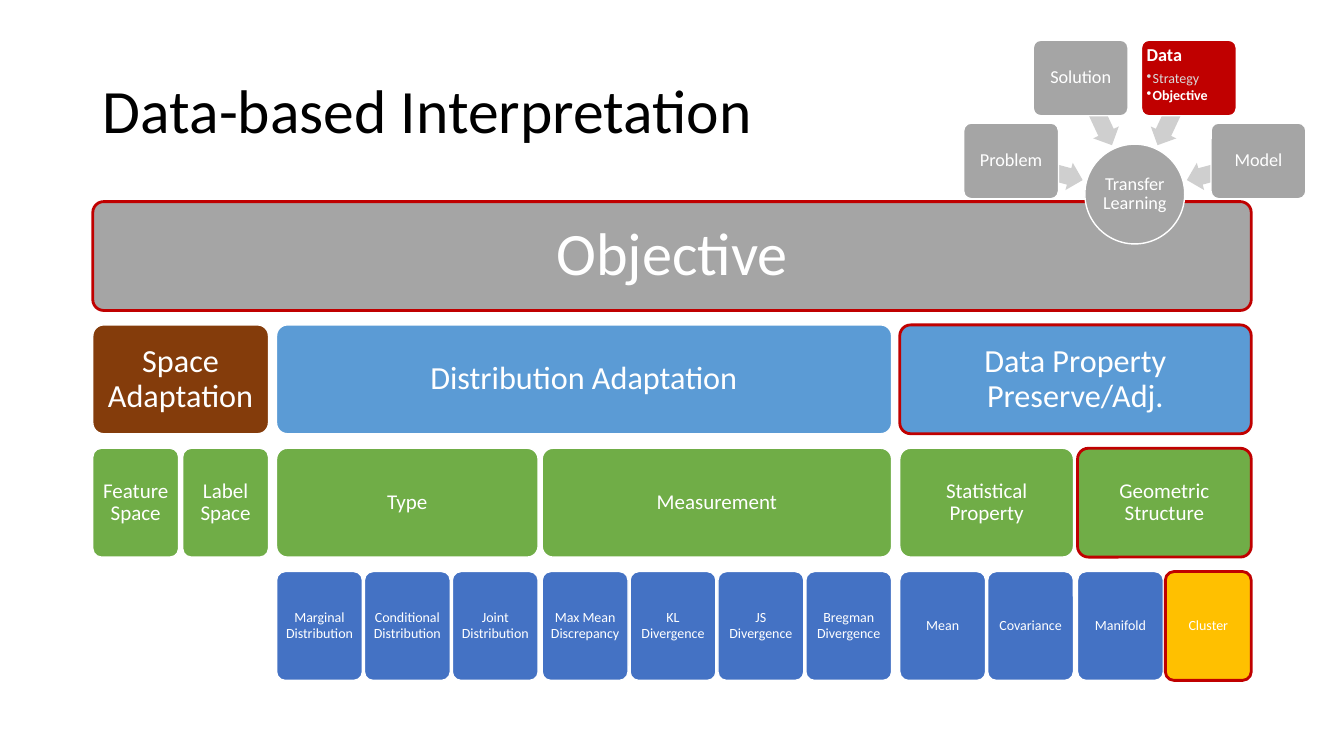
import dataclasses
import math

import lxml.etree
import pptx
import pptx.dml.color
import pptx.enum.shapes
import pptx.enum.text
import pptx.oxml.ns
import pptx.util

Inches, Pt = pptx.util.Inches, pptx.util.Pt
SHAPE = pptx.enum.shapes.MSO_SHAPE
ALIGN = pptx.enum.text.PP_ALIGN
ANCHOR = pptx.enum.text.MSO_ANCHOR

INK = {
    "black": "000000", "white": "FFFFFF", "gray": "A5A5A5", "pale": "CFCFCF",
    "soft": "D9D9D9", "red": "C00000", "brown": "843C0B", "sky": "5B9BD5",
    "green": "70AD47", "blue": "4472C4", "gold": "FFC000",
}
# Fill, text size, inset and gap between children, from the root down
LEVELS = [
    ("gray", 43, 0.18, 0.08),
    ("sky", 23, 0.10, 0.04),
    ("green", 15, 0.06, 0.02),
    ("blue", 10, 0.04, 0),
]


@dataclasses.dataclass
class Node:
    name: str
    kids: tuple = ()
    fill: str = ""
    mark: bool = False


TREE = Node("Objective", (
    Node("Space Adaptation", (Node("Feature Space"), Node("Label Space")), "brown"),
    Node("Distribution Adaptation", (
        Node("Type", (
            Node("Marginal Distribution"), Node("Conditional Distribution"),
            Node("Joint Distribution"))),
        Node("Measurement", (
            Node("Max Mean Discrepancy"), Node("KL Divergence"),
            Node("JS Divergence"), Node("Bregman Divergence"))),
    )),
    Node("Data Property Preserve/Adj.", (
        Node("Statistical Property", (Node("Mean"), Node("Covariance"))),
        Node("Geometric Structure",
             (Node("Manifold"), Node("Cluster", (), "gold", True)), "", True),
    ), "", True),
), "", True)


def color(name):
    return pptx.dml.color.RGBColor.from_string(INK[name])


def write(para, text, size, ink="white", bold=False, align=ALIGN.CENTER):
    para.alignment = align
    para.line_spacing = 0.9
    run = para.add_run()
    run.text = text
    run.font.name = "Calibri"
    run.font.size = Pt(size)
    run.font.bold = bold
    run.font.color.rgb = color(ink)


def draw(slide, kind, box, fill, line=None, width=1):
    shape = slide.shapes.add_shape(kind, *map(Inches, box))
    shape.shadow.inherit = False
    shape.fill.solid()
    shape.fill.fore_color.rgb = color(fill)
    if line:
        shape.line.color.rgb = color(line)
        shape.line.width = Pt(width)
    else:
        shape.line.fill.background()
    if kind == SHAPE.ROUNDED_RECTANGLE:
        shape.adjustments[0] = 0.1
    return shape


def frame(shape, inset, anchor=ANCHOR.MIDDLE):
    """Set up the text frame and return it."""
    text = shape.text_frame
    text.word_wrap = True
    text.vertical_anchor = anchor
    text.margin_left = text.margin_right = Inches(inset)
    text.margin_top = text.margin_bottom = Inches(inset)
    return text


def add_title(slide, box, text):
    title = slide.shapes.title
    title.left, title.top, title.width, title.height = map(Inches, box)
    title.text_frame.vertical_anchor = ANCHOR.MIDDLE
    write(title.text_frame.paragraphs[0], text, 44, "black", align=ALIGN.LEFT)


def count(node, depth=0):
    """Return the number of leaves under a node and the sum of their gaps."""
    if not node.kids:
        return 1, 0
    parts = [count(kid, depth + 1) for kid in node.kids]
    own = LEVELS[depth][3] * (len(parts) - 1)
    return sum(n for n, _ in parts), own + sum(g for _, g in parts)


def add_tree(slide, box, root):
    left, top, width, height = box
    tall = 1.08
    pitch = (height - tall) / (len(LEVELS) - 1)
    leaves, gaps = count(root)
    unit = (width - gaps) / leaves

    def place(node, x, depth):
        fill, size, inset, gap = LEVELS[depth]
        number, inner = count(node, depth)
        wide = number * unit + inner
        shape = draw(slide, SHAPE.ROUNDED_RECTANGLE,
                     (x, top + depth * pitch, wide, tall), node.fill or fill,
                     "red" if node.mark else "white", 2 if node.mark else 1)
        write(frame(shape, inset).paragraphs[0], node.name, size)
        start = x
        for kid in node.kids:
            start += place(kid, start, depth + 1) + gap
        return wide

    place(root, left, 0)


def list_data(shape):
    text = frame(shape, 0.03, ANCHOR.TOP)
    head = text.paragraphs[0]
    write(head, "Data", 13, bold=True, align=ALIGN.LEFT)
    head.space_after = Pt(4.5)
    for name, ink, bold in (("Strategy", "soft", False), ("Objective", "white", True)):
        para = text.add_paragraph()
        para.level = 1
        props = para._p.get_or_add_pPr()
        props.set("marL", str(Inches(0.06)))
        props.set("indent", str(-Inches(0.06)))
        lxml.etree.SubElement(props, pptx.oxml.ns.qn("a:buChar"), char="•")
        write(para, name, 10, ink, bold, ALIGN.LEFT)
        para.space_after = Pt(1.5)


def add_wheel(slide, box):
    """Draw a hub with four boxes fanned above it, each with an arrow inwards."""
    left, top, width, height = box
    hub = 0.99
    mid, level = left + width / 2, top + height - hub / 2

    def around(angle, reach, wide, tall):
        turn = math.radians(angle)
        return (mid + reach * math.cos(turn) - wide / 2,
                level + reach * math.sin(turn) - tall / 2, wide, tall)

    disc = draw(slide, SHAPE.OVAL, around(0, 0, hub, hub), "gray", "white")
    write(frame(disc, 0.01).paragraphs[0], "Transfer Learning", 13)
    for i, name in enumerate(("Problem", "Solution", "Data", "Model")):
        angle = 195 + 50 * i
        arrow = draw(slide, SHAPE.LEFT_ARROW, around(angle, 0.9, 0.73, 0.28), "pale")
        arrow.rotation = angle
        arrow.adjustments[0] = 0.6
        arrow.adjustments[1] = 0.5
        card = draw(slide, SHAPE.ROUNDED_RECTANGLE, around(angle, 1.27, 0.94, 0.75),
                    "red" if name == "Data" else "gray", "white")
        if name == "Data":
            list_data(card)
        else:
            write(frame(card, 0.03).paragraphs[0], name, 13)


def main():
    deck = pptx.Presentation()
    deck.slide_width, deck.slide_height = Inches(13.33), Inches(7.5)
    slide = deck.slides.add_slide(deck.slide_layouts[5])
    add_title(slide, (0.92, 0.4, 11.5, 1.45), "Data-based Interpretation")
    add_tree(slide, (0.92, 2, 11.49, 4.75), TREE)
    add_wheel(slide, (9.56, 0.4, 3.39, 2.02))
    deck.save("out.pptx")


if __name__ == "__main__":
    main()
